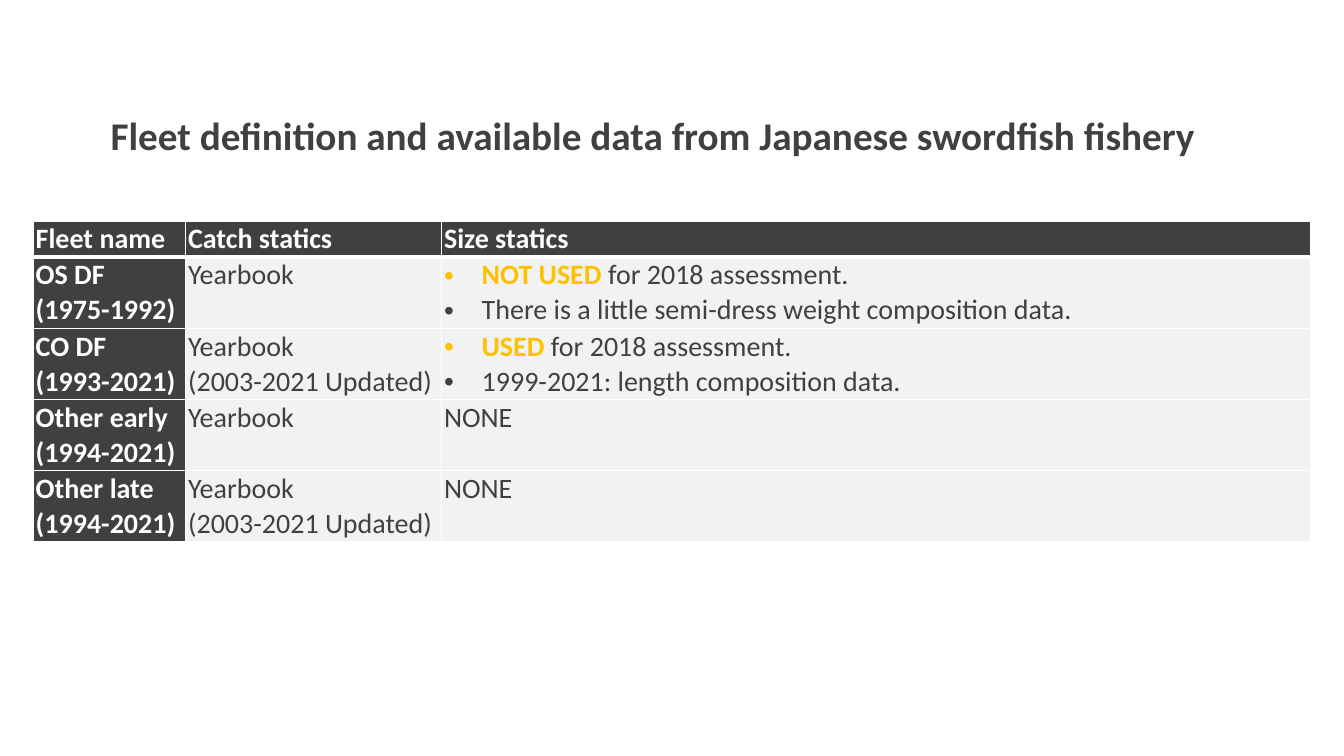
from lxml import etree
from pptx import Presentation
from pptx.dml.color import RGBColor
from pptx.oxml.ns import qn
from pptx.util import Cm, Pt

TITLE = "Fleet definition and available data from Japanese swordfish fishery"
HEAD = ["Fleet name", "Catch statics", "Size statics"]
UPDATED = ["Yearbook", "(2003-2021 Updated)"]
# A line given as a tuple is a bullet: marked words, then plain words.
FLEETS = [
    (["OS DF", "(1975-1992)"], ["Yearbook"],
     [("NOT USED ", "for 2018 assessment."),
      ("", "There is a little semi-dress weight composition data.")]),
    (["CO DF", "(1993-2021)"], UPDATED,
     [("USED", " for 2018 assessment."),
      ("", "1999-2021: length composition data.")]),
    (["Other early", "(1994-2021)"], ["Yearbook"], ["NONE"]),
    (["Other late", "(1994-2021)"], UPDATED, ["NONE"]),
]
WIDTHS = [3.84, 6.45, 21.92]
HEAD_H, ROW_H = 0.91, 1.79
DARK, PALE, WHITE, GOLD = "404040", "F2F2F2", "FFFFFF", "FFC000"
INSETS = {"margin_left": Cm(0.07), "margin_right": Cm(0.07),
          "margin_top": Cm(0.01), "margin_bottom": Cm(0.01)}


def color(value):
    return RGBColor.from_string(value)


def add_run(para, text, size, tint, bold):
    run = para.add_run()
    run.text = text
    for name, value in {"name": "Calibri", "size": Pt(size), "bold": bold}.items():
        setattr(run.font, name, value)
    run.font.color.rgb = color(tint)


def add_bullet(para):
    props = para._p.get_or_add_pPr()
    props.set("marL", str(Cm(0.95)))
    props.set("indent", str(-Cm(0.95)))
    etree.SubElement(props, qn("a:buFont")).set("typeface", "Arial")
    etree.SubElement(props, qn("a:buChar")).set("char", "•")


def add_borders(cell, base):
    """Draw white cell edges, with the bottom one base points wide."""
    props = cell._tc.get_or_add_tcPr()
    edges = {"L": 1, "R": 1, "T": 1, "B": base}
    for spot, (side, width) in enumerate(edges.items()):
        line = etree.Element(qn("a:ln" + side), w=str(Pt(width)))
        fill = etree.SubElement(line, qn("a:solidFill"))
        etree.SubElement(fill, qn("a:srgbClr")).set("val", WHITE)
        props.insert(spot, line)


def fill_cell(cell, lines, strong, base):
    for name, value in INSETS.items():
        setattr(cell, name, value)
    cell.fill.solid()
    cell.fill.fore_color.rgb = color(DARK if strong else PALE)
    add_borders(cell, base)
    frame = cell.text_frame
    for num, line in enumerate(lines):
        para = frame.add_paragraph() if num else frame.paragraphs[0]
        para.line_spacing = Pt(25)
        mark, plain = line if isinstance(line, tuple) else ("", line)
        if isinstance(line, tuple):
            add_bullet(para)
        if mark:
            add_run(para, mark, 20, GOLD, True)
        add_run(para, plain, 20, WHITE if strong else DARK, strong)


def main():
    deck = Presentation()
    deck.slide_width, deck.slide_height = Cm(33.87), Cm(19.05)
    slide = deck.slides.add_slide(deck.slide_layouts[6])

    rows = [[[name] for name in HEAD], *FLEETS]
    heights = [HEAD_H] + [ROW_H] * len(FLEETS)
    table = slide.shapes.add_table(
        len(rows), len(HEAD), Cm(0.83), Cm(5.57),
        Cm(sum(WIDTHS)), Cm(sum(heights))).table
    for col, width in zip(table.columns, WIDTHS):
        col.width = Cm(width)
    for r, (row, height) in enumerate(zip(rows, heights)):
        table.rows[r].height = Cm(height)
        for c, lines in enumerate(row):
            edge = 3 if r == 0 else 1
            fill_cell(table.cell(r, c), lines, r == 0 or c == 0, edge)

    box = slide.shapes.add_textbox(Cm(2.54), Cm(2.69), Cm(28.8), Cm(1.45))
    box.text_frame.word_wrap = True
    add_run(box.text_frame.paragraphs[0], TITLE, 28, DARK, True)
    deck.save("out.pptx")


if __name__ == "__main__":
    main()
